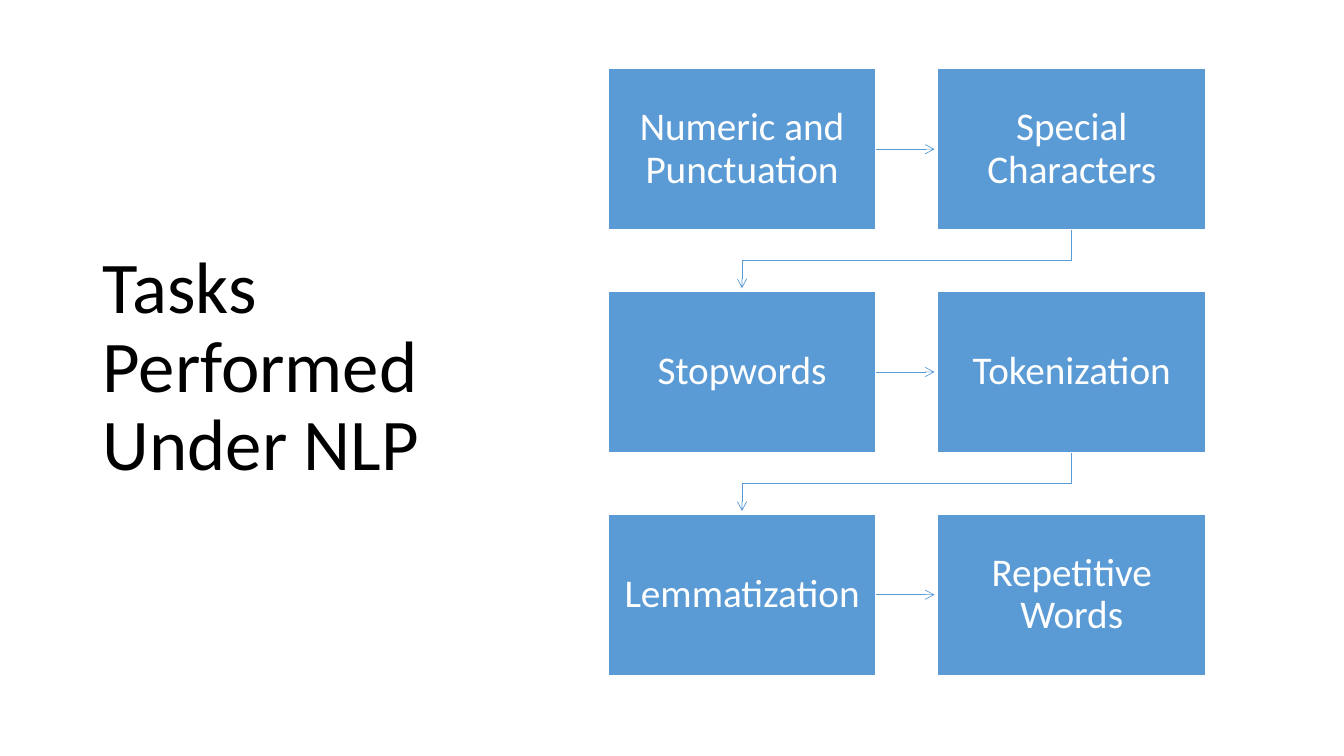
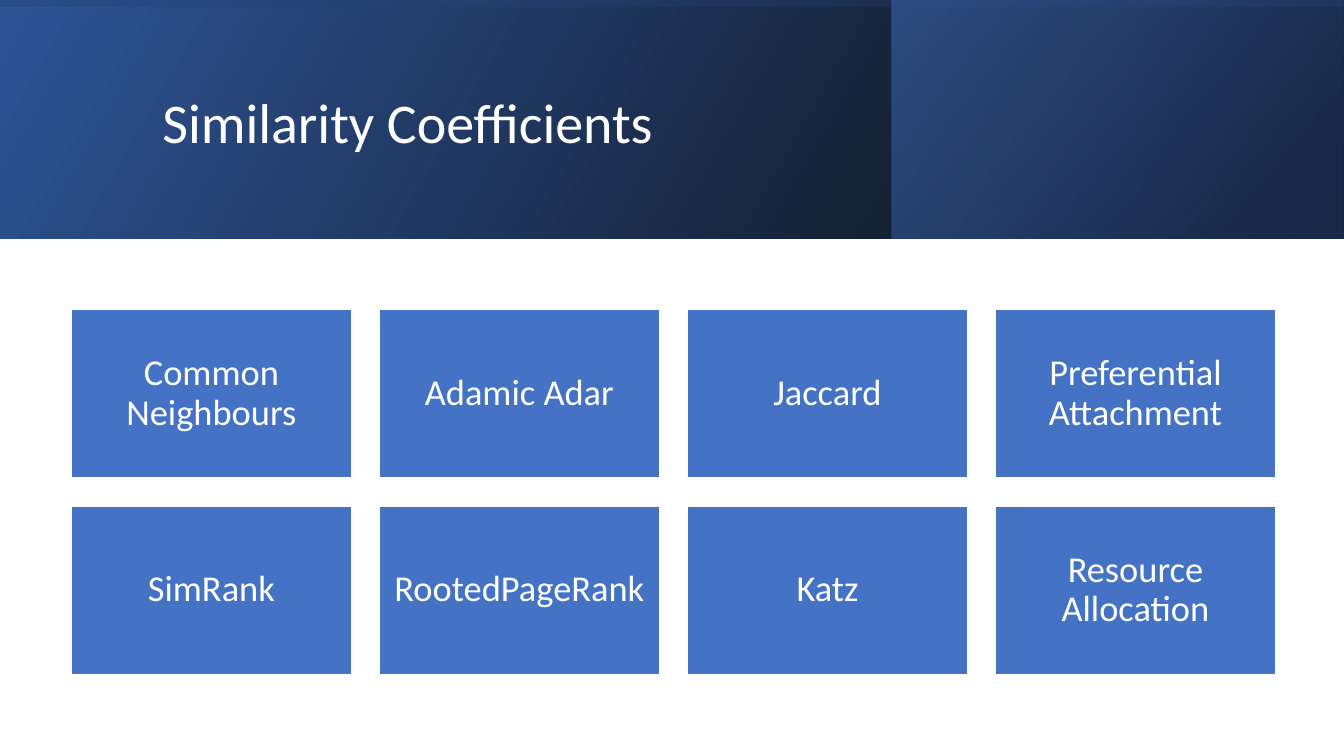
from collections import namedtuple
from itertools import pairwise

from lxml.etree import SubElement
from pptx import Presentation
from pptx.dml.color import RGBColor
from pptx.enum.shapes import MSO_CONNECTOR as Connector, MSO_SHAPE as Shape
from pptx.enum.text import MSO_ANCHOR as Anchor, MSO_AUTO_SIZE as AutoSize, PP_ALIGN as Align
from pptx.oxml.ns import qn
from pptx.util import Inches, Pt

Box = namedtuple("Box", "left top width height")
Stop = namedtuple("Stop", "position colour opacity")

FONT = "Calibri"
COLOURS = {
    "black": "000000",
    "white": "FFFFFF",
    "sky": "5B9BD5",
    "blue": "4472C4",
    "deep": "2F5597",
    "navy": "203864",
}
TITLE_ONLY = 5
RIGHT_SIDE = 3
SLIDE_WIDTH, SLIDE_HEIGHT = 13.33, 7.5
BAND_HEIGHT = 2.37
ARROW_CLEARANCE = 0.03
TASKS = ["Numeric and Punctuation", "Special Characters", "Stopwords",
         "Tokenization", "Lemmatization", "Repetitive Words"]
COEFFICIENTS = ["Common Neighbours", "Adamic Adar", "Jaccard", "Preferential Attachment",
                "SimRank", "RootedPageRank", "Katz", "Resource Allocation"]


def colour(name):
    """Return the named palette colour."""
    return RGBColor.from_string(COLOURS[name])


def inches(*lengths):
    """Convert lengths to Inches."""
    return [Inches(length) for length in lengths]


def write(shape, text, size, colour_name, align):
    """Put one middle-anchored paragraph of styled text in a shape."""
    frame = shape.text_frame
    frame.text = text
    frame.word_wrap = True
    frame.auto_size = AutoSize.NONE
    frame.vertical_anchor = Anchor.MIDDLE
    para = frame.paragraphs[0]
    para.alignment = align
    para.line_spacing = 0.9
    para.font.name = FONT
    para.font.size = Pt(size)
    para.font.color.rgb = colour(colour_name)


def add_page(deck):
    """Add a title-only slide."""
    return deck.slides.add_slide(deck.slide_layouts[TITLE_ONLY])


def place_title(page, box, text, size, colour_name):
    """Place the title in its box, in front of what is already drawn."""
    title = page.shapes.title
    title.left, title.top, title.width, title.height = inches(*box)
    write(title, text, size, colour_name, Align.LEFT)
    page.shapes._spTree.append(title._element)


def add_tiles(page, box, labels, columns, gap, fill, size, inset):
    """Fill a box with an even grid of labelled tiles and return them."""
    rows = len(labels) // columns
    width = (box.width - gap * (columns - 1)) / columns
    height = (box.height - gap * (rows - 1)) / rows
    tiles = []
    for index, label in enumerate(labels):
        row, column = divmod(index, columns)
        left = box.left + column * (width + gap)
        top = box.top + row * (height + gap)
        tile = page.shapes.add_shape(Shape.RECTANGLE, *inches(left, top, width, height))
        tile.shadow.inherit = False
        tile.fill.solid()
        tile.fill.fore_color.rgb = colour(fill)
        tile.line.color.rgb = colour("white")
        tile.line.width = Pt(1)
        write(tile, label, size, "white", Align.CENTER)
        frame = tile.text_frame
        frame.margin_left = frame.margin_right = Inches(inset)
        frame.margin_top = frame.margin_bottom = Inches(inset)
        tiles.append(tile)
    return tiles


def style_arrow(arrow):
    """Give a line its colour, width and open head, without a shadow."""
    arrow.line.color.rgb = colour("sky")
    arrow.line.width = Pt(0.5)
    SubElement(arrow.line._get_or_add_ln(), qn("a:tailEnd"), type="arrow")
    SubElement(arrow._element.spPr, qn("a:effectLst"))


def link_across(page, start, end):
    """Draw a straight arrow to the next tile in the row."""
    middle = start.top + start.height // 2
    arrow = page.shapes.add_connector(
        Connector.STRAIGHT, start.left + start.width, middle,
        end.left - Inches(ARROW_CLEARANCE), middle)
    arrow.begin_connect(start, RIGHT_SIDE)
    style_arrow(arrow)


def link_down(page, start, end):
    """Draw a bent arrow to the first tile of the next row."""
    start_x = start.left + start.width // 2
    end_x = end.left + end.width // 2
    bottom = start.top + start.height
    bend = (bottom + end.top) // 2
    builder = page.shapes.build_freeform(start_x, bottom)
    builder.add_line_segments(
        [(start_x, bend), (end_x, bend), (end_x, end.top - Inches(ARROW_CLEARANCE))],
        close=False)
    arrow = builder.convert_to_shape()
    arrow.fill.background()
    style_arrow(arrow)


def add_gradient(page, box, stops, angle, rotation=0):
    """Add a mirrored rectangle with a two-stop translucent gradient."""
    panel = page.shapes.add_shape(Shape.RECTANGLE, *inches(*box))
    panel.shadow.inherit = False
    panel.rotation = rotation
    panel._element.spPr.xfrm.set("flipH", "1")
    panel.line.fill.background()
    panel.fill.gradient()
    panel.fill.gradient_angle = 360 - angle
    for target, stop in zip(panel.fill.gradient_stops, stops):
        target.position = stop.position / 100
        target.color.rgb = colour(stop.colour)
    for element, stop in zip(panel._element.spPr.iter(qn("a:srgbClr")), stops):
        SubElement(element, qn("a:alpha"), val=str(stop.opacity * 1000))


def add_band(page, box):
    """Layer the gradients of a header band inside its box."""
    add_gradient(page, box, [Stop(0, "black", 96), Stop(100, "deep", 100)], 330)
    side_width = 4.48
    side = box._replace(left=box.left + box.width - side_width - 0.01, width=side_width)
    add_gradient(page, side, [Stop(19, "navy", 68), Stop(100, "blue", 48)], 320)
    shift = (box.width - box.height) / 2
    upright = Box(box.left + shift, box.top - shift, box.height, box.width)
    add_gradient(page, upright, [Stop(23, "deep", 16), Stop(99, "black", 45)], 350, 270)


def build_tasks(deck):
    """Build the slide with the chain of tasks."""
    page = add_page(deck)
    place_title(page, Box(0.92, 0.61, 3.69, 6.09), "Tasks Performed Under NLP", 52, "black")
    tiles = add_tiles(page, Box(6.03, 0.68, 5.93, 6.02), TASKS, 2, 0.61, "sky", 28, 0.13)
    for start, end in pairwise(tiles):
        link = link_across if start.top == end.top else link_down
        link(page, start, end)


def build_coefficients(deck):
    """Build the slide with the grid of coefficients."""
    page = add_page(deck)
    add_band(page, Box(0, 0, SLIDE_WIDTH, BAND_HEIGHT))
    place_title(page, Box(1.51, 0.38, 10.63, 1.72), "Similarity Coefficients", 40, "white")
    add_tiles(page, Box(0.71, 3.07, 11.94, 3.62), COEFFICIENTS, 4, 0.28, "blue", 26, 0.11)


def main():
    """Build and save the deck."""
    deck = Presentation()
    deck.slide_width, deck.slide_height = inches(SLIDE_WIDTH, SLIDE_HEIGHT)
    build_tasks(deck)
    build_coefficients(deck)
    deck.save("out.pptx")


if __name__ == "__main__":
    main()
